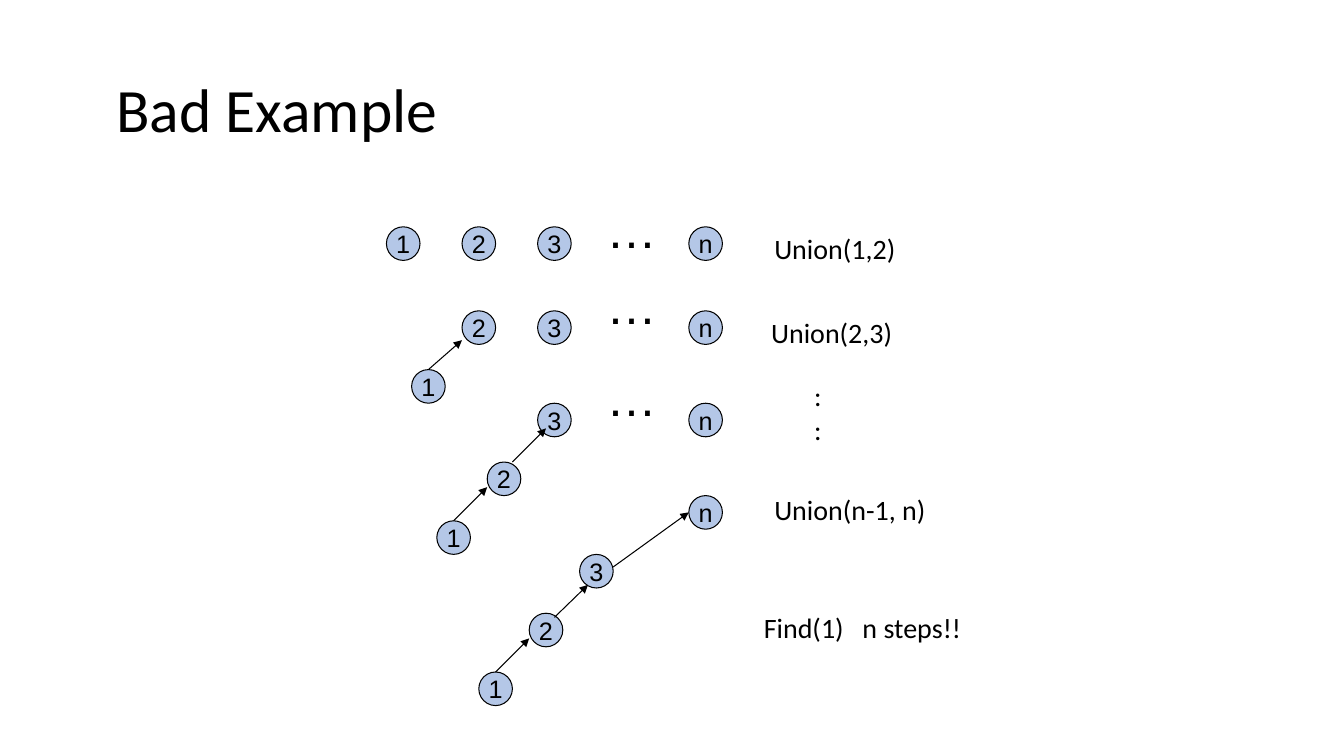
from typing import NamedTuple

from lxml.etree import SubElement
from pptx import Presentation
from pptx.dml.color import RGBColor
from pptx.enum.shapes import MSO_CONNECTOR, MSO_SHAPE
from pptx.enum.text import MSO_ANCHOR, MSO_AUTO_SIZE, PP_ALIGN
from pptx.oxml.ns import qn
from pptx.slide import Slide
from pptx.util import Emu, Pt

BLACK, NODE_FILL = "000000", "B4C7E7"
NODE_SIZE = 32


class Node(NamedTuple):
    text: str
    x: int
    y: int


class Arrow(NamedTuple):
    x1: int
    y1: int
    x2: int
    y2: int


class Label(NamedTuple):
    text: str
    x: int
    y: int
    w: int
    h: int = 42
    size: int = 20
    font: str = "Calibri"
    tab: int = 0


# One row per state of the forest, from all singletons to a single chain
NODES = [
    Node("1", 368, 216), Node("2", 440, 216), Node("3", 512, 216), Node("n", 656, 216),
    Node("1", 392, 352), Node("2", 440, 296), Node("3", 512, 296), Node("n", 656, 296),
    Node("1", 416, 496), Node("2", 464, 440), Node("3", 512, 384), Node("n", 656, 384),
    Node("1", 456, 640), Node("2", 504, 584), Node("3", 552, 528), Node("n", 656, 472),
]
ARROWS = [
    Arrow(408, 352, 440, 324),
    Arrow(432, 496, 464, 464), Arrow(488, 440, 520, 408),
    Arrow(472, 640, 504, 608), Arrow(528, 588, 560, 557), Arrow(584, 540, 656, 488),
]
LABELS = [
    *(Label("…", 568, y, 67, 67, 36, "Arial") for y in (184, 256, 344)),
    Label("Union(1,2)", 728, 216, 135),
    Label("Union(2,3)", 725, 296, 135),
    Label(":\n:", 766, 356, 27, 74),
    Label("Union(n-1, n)", 728, 464, 165),
    Label("Find(1)\tn steps!!", 718, 577, 209, tab=94),
]


def px(n: int) -> Emu:
    return Emu(n * 9525)


def rgb(color: str) -> RGBColor:
    return RGBColor.from_string(color)


def set_font(p, name: str, size: int) -> None:
    p.font.name = name
    p.font.size = Pt(size)
    p.font.color.rgb = rgb(BLACK)


def set_title(s: Slide, text: str) -> None:
    title = s.shapes.title
    title.left, title.top, title.width, title.height = px(88), px(38), px(1104), px(139)
    tf = title.text_frame
    tf.text = text
    tf.vertical_anchor = MSO_ANCHOR.MIDDLE
    tf.margin_left = px(23)
    p = tf.paragraphs[0]
    p.alignment = PP_ALIGN.LEFT
    p.line_spacing = 0.9
    set_font(p, "Calibri", 44)


def add_node(s: Slide, node: Node) -> None:
    sp = s.shapes.add_shape(MSO_SHAPE.OVAL, px(node.x), px(node.y), px(NODE_SIZE), px(NODE_SIZE))
    sp.shadow.inherit = False
    sp.fill.solid()
    sp.fill.fore_color.rgb = rgb(NODE_FILL)
    sp.line.color.rgb = rgb(BLACK)
    sp.line.width = Pt(0.75)
    tf = sp.text_frame
    tf.text = node.text
    tf.word_wrap = False
    tf.vertical_anchor = MSO_ANCHOR.MIDDLE
    p = tf.paragraphs[0]
    p.alignment = PP_ALIGN.CENTER
    set_font(p, "Arial", 18)


def add_arrow(s: Slide, arrow: Arrow) -> None:
    cxn = s.shapes.add_connector(MSO_CONNECTOR.STRAIGHT, *map(px, arrow))
    cxn.line.color.rgb = rgb(BLACK)
    cxn.line.width = Pt(0.75)
    SubElement(cxn.line._get_or_add_ln(), qn("a:tailEnd"), type="triangle")
    SubElement(cxn._element.spPr, qn("a:effectLst"))


def add_label(s: Slide, label: Label) -> None:
    box = s.shapes.add_textbox(px(label.x), px(label.y), px(label.w), px(label.h))
    tf = box.text_frame
    tf.text = label.text
    tf.word_wrap = bool(label.tab)
    tf.auto_size = MSO_AUTO_SIZE.SHAPE_TO_FIT_TEXT
    for p in tf.paragraphs:
        if label.tab:
            tabs = SubElement(p._p.get_or_add_pPr(), qn("a:tabLst"))
            SubElement(tabs, qn("a:tab"), pos=str(px(label.tab)), algn="l")
        set_font(p, label.font, label.size)


def main() -> None:
    prs = Presentation()
    prs.slide_width, prs.slide_height = px(1280), px(720)
    s = prs.slides.add_slide(prs.slide_layouts.get_by_name("Title Only"))
    set_title(s, "Bad Example")
    for node in NODES:
        add_node(s, node)
    for arrow in ARROWS:
        add_arrow(s, arrow)
    for label in LABELS:
        add_label(s, label)
    prs.save("out.pptx")


if __name__ == "__main__":
    main()
